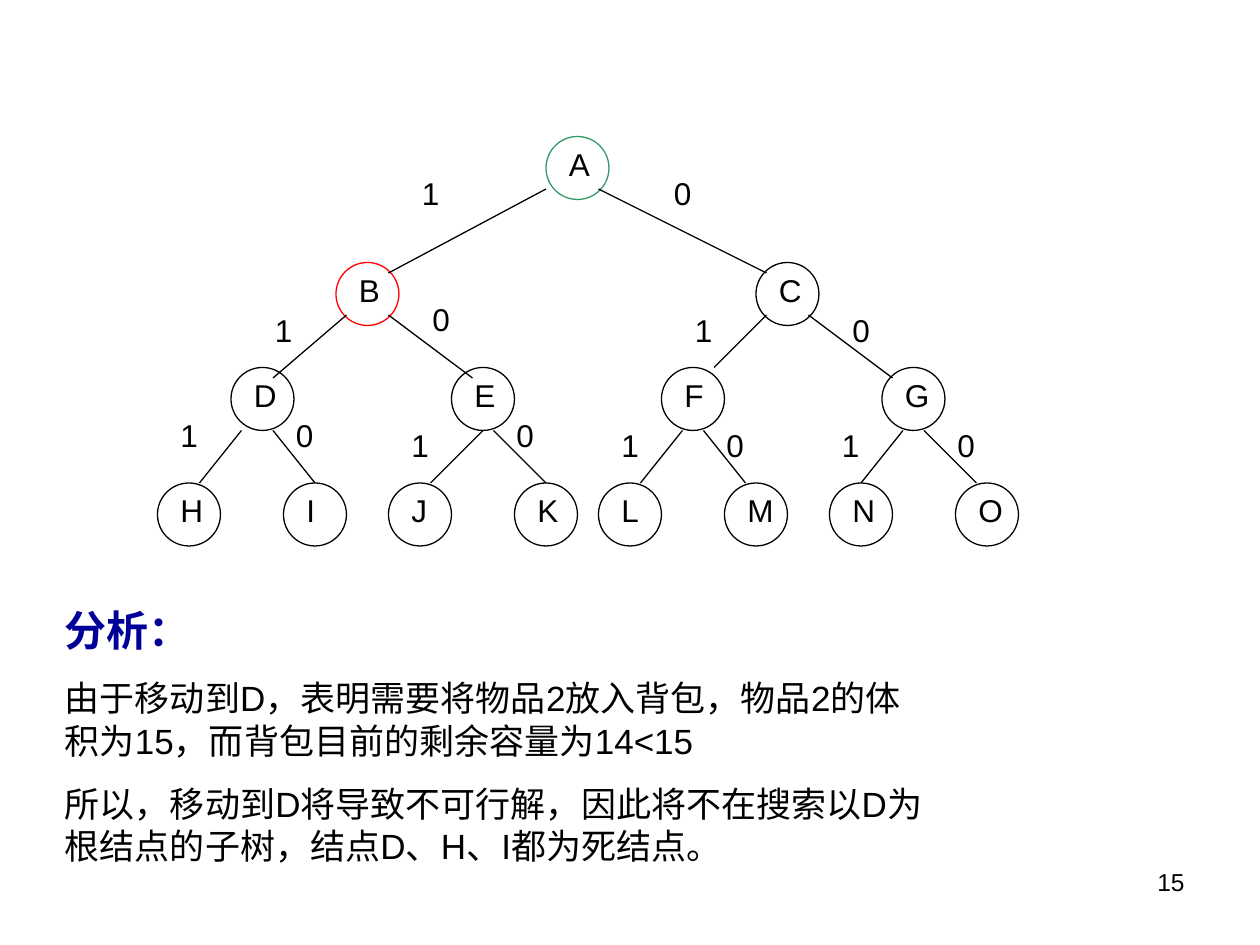
from pptx import Presentation
from pptx.dml.color import RGBColor
from pptx.enum.shapes import MSO_CONNECTOR as CONNECTOR, MSO_SHAPE as SHAPE
from pptx.enum.text import PP_ALIGN as ALIGN
from pptx.oxml.ns import qn
from pptx.util import Pt
from lxml.etree import SubElement

COLORS = {"text": "000000", "heading": "000099", "root": "339966", "current": "FF0000"}
DIAMETER = 36
NODES = {
    "A": (312, 78), "B": (192, 150), "C": (432, 150),
    "D": (132, 210), "E": (258, 210), "F": (378, 210), "G": (504, 210),
    "H": (90, 276), "I": (162, 276), "J": (222, 276), "K": (294, 276),
    "L": (342, 276), "M": (414, 276), "N": (474, 276), "O": (546, 276),
}
NODE_COLORS = {"A": "root", "B": "current"}
BRANCHES = [
    ("1", (312, 108), (222, 156), (234, 96)),
    ("0", (342, 108), (438, 156), (378, 96)),
    ("1", (198, 180), (156, 216), (150, 174)),
    ("0", (222, 180), (270, 216), (240, 168)),
    ("1", (438, 180), (408, 210), (390, 174)),
    ("0", (462, 180), (510, 216), (480, 174)),
    ("1", (138, 246), (114, 276), (96, 234)),
    ("0", (156, 246), (180, 276), (162, 234)),
    ("1", (276, 246), (246, 276), (228, 240)),
    ("0", (282, 246), (312, 276), (288, 234)),
    ("1", (390, 246), (366, 276), (348, 240)),
    ("0", (402, 246), (426, 276), (408, 240)),
    ("1", (516, 246), (492, 276), (474, 240)),
    ("0", (528, 246), (558, 276), (540, 240)),
]
ANALYSIS = [
    "由于移动到D，表明需要将物品2放入背包，物品2的体积为15，而背包目前的剩余容量为14<15",
    "所以，移动到D将导致不可行解，因此将不在搜索以D为根结点的子树，结点D、H、I都为死结点。",
]


def color(name):
    """Return the named colour."""
    return RGBColor.from_string(COLORS[name])


def write(paragraph, text, size, color_name="text", bold=False):
    """Fill a paragraph with text in one style."""
    paragraph.text = text
    font = paragraph.font
    font.name, font.size, font.bold = "Arial", Pt(size), bold
    font.color.rgb = color(color_name)


def add_text_frame(slide, left, top, width, height):
    """Add a wrapping text box and return its text frame."""
    box = slide.shapes.add_textbox(Pt(left), Pt(top), Pt(width), Pt(height))
    box.text_frame.word_wrap = True
    return box.text_frame


def add_label(slide, text, left, top):
    """Add a one-character label."""
    write(add_text_frame(slide, left, top, 30, 28.8).paragraphs[0], text, 18)


def add_node(slide, name, left, top):
    """Add a circled tree node with its letter."""
    circle = slide.shapes.add_shape(
        SHAPE.OVAL, Pt(left), Pt(top), Pt(DIAMETER), Pt(DIAMETER))
    circle.shadow.inherit = False
    circle.fill.background()
    circle.line.color.rgb = color(NODE_COLORS.get(name, "text"))
    circle.line.width = Pt(0.75)
    add_label(slide, name, left + 6, top + 1.2)


def add_edge(slide, start, end):
    """Add a straight line between two points."""
    edge = slide.shapes.add_connector(
        CONNECTOR.STRAIGHT, *(Pt(value) for value in start + end))
    edge.line.color.rgb = color("text")
    edge.line.width = Pt(0.75)
    SubElement(edge._element.spPr, qn("a:effectLst"))


def add_analysis(slide):
    """Add the heading and the explanation below the tree."""
    frame = add_text_frame(slide, 30, 342, 510, 157)
    write(frame.paragraphs[0], "分析：", 24, "heading", True)
    for text in ANALYSIS:
        paragraph = frame.add_paragraph()
        write(paragraph, text, 20)
        paragraph.space_before = Pt(12.5)


def add_page_number(slide):
    """Add the right-aligned page number."""
    paragraph = add_text_frame(slide, 516, 492, 168, 37.5).paragraphs[0]
    write(paragraph, "15", 14)
    paragraph.alignment = ALIGN.RIGHT


def main():
    """Build the search tree slide."""
    presentation = Presentation()
    presentation.slide_width, presentation.slide_height = Pt(720), Pt(540)
    slide = presentation.slides.add_slide(presentation.slide_layouts[6])
    add_page_number(slide)
    for name, position in NODES.items():
        add_node(slide, name, *position)
    for choice, start, end, position in BRANCHES:
        add_edge(slide, start, end)
        add_label(slide, choice, *position)
    add_analysis(slide)
    presentation.save("out.pptx")


if __name__ == "__main__":
    main()
